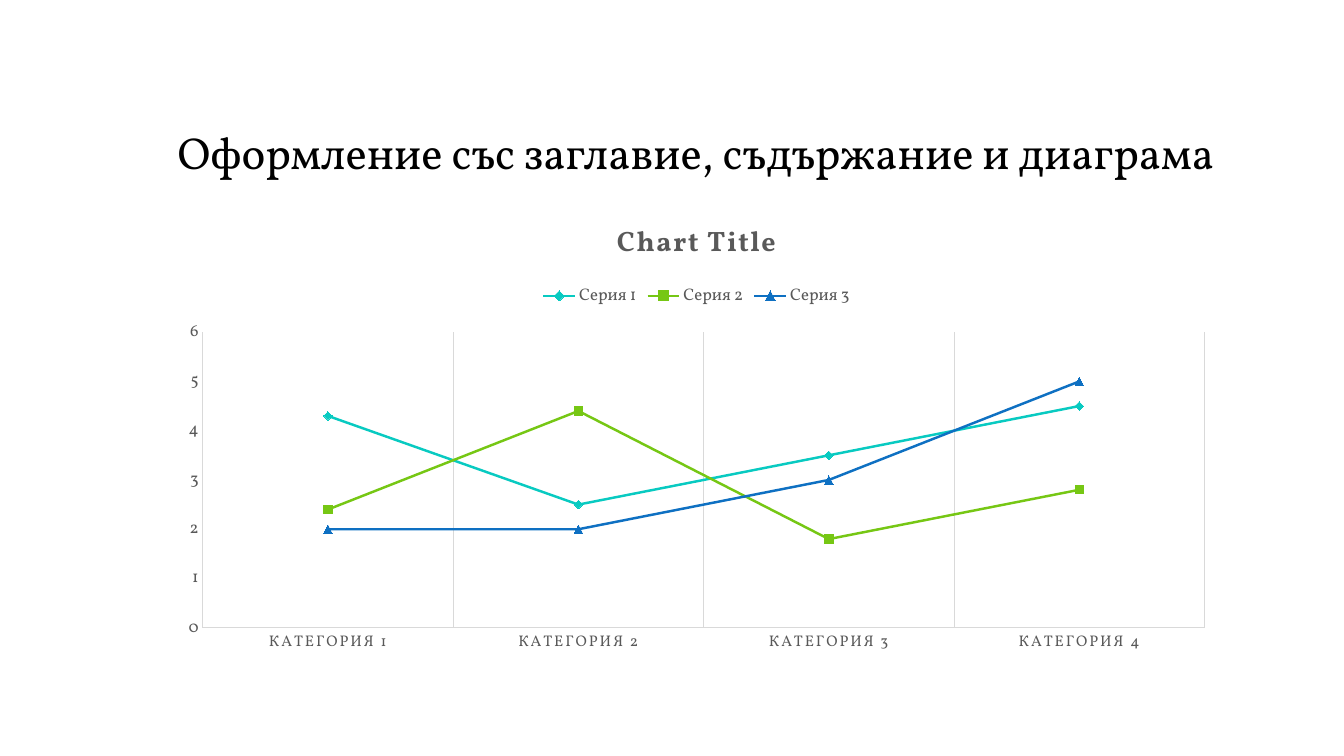
import dataclasses

import pptx
import pptx.chart.data
import pptx.dml.color
import pptx.enum.chart
import pptx.enum.text
import pptx.util
from pptx.util import Cm, Pt


@dataclasses.dataclass(frozen=True)
class Theme:
    font: str = "Vollkorn"
    title: str = "000000"
    label: str = "595959"
    grid: str = "D9D9D9"
    title_size: int = 32
    chart_title_size: int = 20
    category_size: int = 11
    label_size: int = 12


theme = Theme()


def style_font(font, size, color):
    font.name = theme.font
    font.size = Pt(size)
    font.color.rgb = pptx.dml.color.RGBColor.from_string(color)


def style_line(line, color, width):
    line.color.rgb = pptx.dml.color.RGBColor.from_string(color)
    line.width = Pt(width)


# Slide
presentation = pptx.Presentation()
presentation.slide_width = Cm(33.87)
presentation.slide_height = Cm(19.05)
slide = presentation.slides.add_slide(presentation.slide_layouts[5])
left, width = Cm(4.22), Cm(26.67)

# Title
title = slide.shapes.title
title.left, title.top, title.width, title.height = left, Cm(1.47), width, Cm(3.18)
title.text_frame.text = "Оформление със заглавие, съдържание и диаграма"
title.text_frame.vertical_anchor = pptx.enum.text.MSO_ANCHOR.BOTTOM
paragraph = title.text_frame.paragraphs[0]
paragraph.alignment = pptx.enum.text.PP_ALIGN.LEFT
paragraph.line_spacing = 0.9
style_font(paragraph.font, theme.title_size, theme.title)

# Chart data
MARKER = pptx.enum.chart.XL_MARKER_STYLE
series_rows = [
    ("Cерия 1", (4.3, 2.5, 3.5, 4.5), "08CAC1", MARKER.DIAMOND),
    ("Cерия 2", (2.4, 4.4, 1.8, 2.8), "76C714", MARKER.SQUARE),
    ("Cерия 3", (2, 2, 3, 5), "0E70C2", MARKER.TRIANGLE),
]
chart_data = pptx.chart.data.CategoryChartData()
chart_data.categories = [f"КАТЕГОРИЯ {number}" for number in range(1, 5)]
for name, values, color, marker in series_rows:
    chart_data.add_series(name, values)

chart = slide.shapes.add_chart(
    pptx.enum.chart.XL_CHART_TYPE.LINE_MARKERS,
    left, Cm(5.08), width, Cm(11.63), chart_data,
).chart
style_font(chart.font, 10, theme.title)

# Chart title
chart.has_title = True
chart.chart_title.include_in_layout = False
run = chart.chart_title.text_frame.paragraphs[0].add_run()
run.text = "Chart Title"
run.font.bold = True
style_font(run.font, theme.chart_title_size, theme.label)
run.font._element.set("spc", "100")

# Legend
chart.has_legend = True
chart.legend.position = pptx.enum.chart.XL_LEGEND_POSITION.TOP
chart.legend.include_in_layout = False
style_font(chart.legend.font, theme.label_size, theme.label)

# Axes
for axis, size in (
    (chart.category_axis, theme.category_size),
    (chart.value_axis, theme.label_size),
):
    axis.major_tick_mark = pptx.enum.chart.XL_TICK_MARK.NONE
    axis.minor_tick_mark = pptx.enum.chart.XL_TICK_MARK.NONE
    style_font(axis.tick_labels.font, size, theme.label)
    style_line(axis.format.line, theme.grid, 0.75)
chart.category_axis.has_major_gridlines = True
style_line(chart.category_axis.major_gridlines.format.line, theme.grid, 0.75)
chart.category_axis.tick_labels.font._element.set("spc", "120")
chart.value_axis.has_major_gridlines = False
chart.value_axis.minimum_scale = 0
chart.value_axis.maximum_scale = 6
chart.value_axis.major_unit = 1

# Series
chart.plots[0].vary_by_categories = False
for series, (name, values, color, marker) in zip(chart.plots[0].series, series_rows):
    series.smooth = False
    style_line(series.format.line, color, 1.75)
    series.marker.style = marker
    series.marker.size = 6
    series.marker.format.fill.solid()
    series.marker.format.fill.fore_color.rgb = pptx.dml.color.RGBColor.from_string(color)
    style_line(series.marker.format.line, color, 0.75)

presentation.save("out.pptx")
